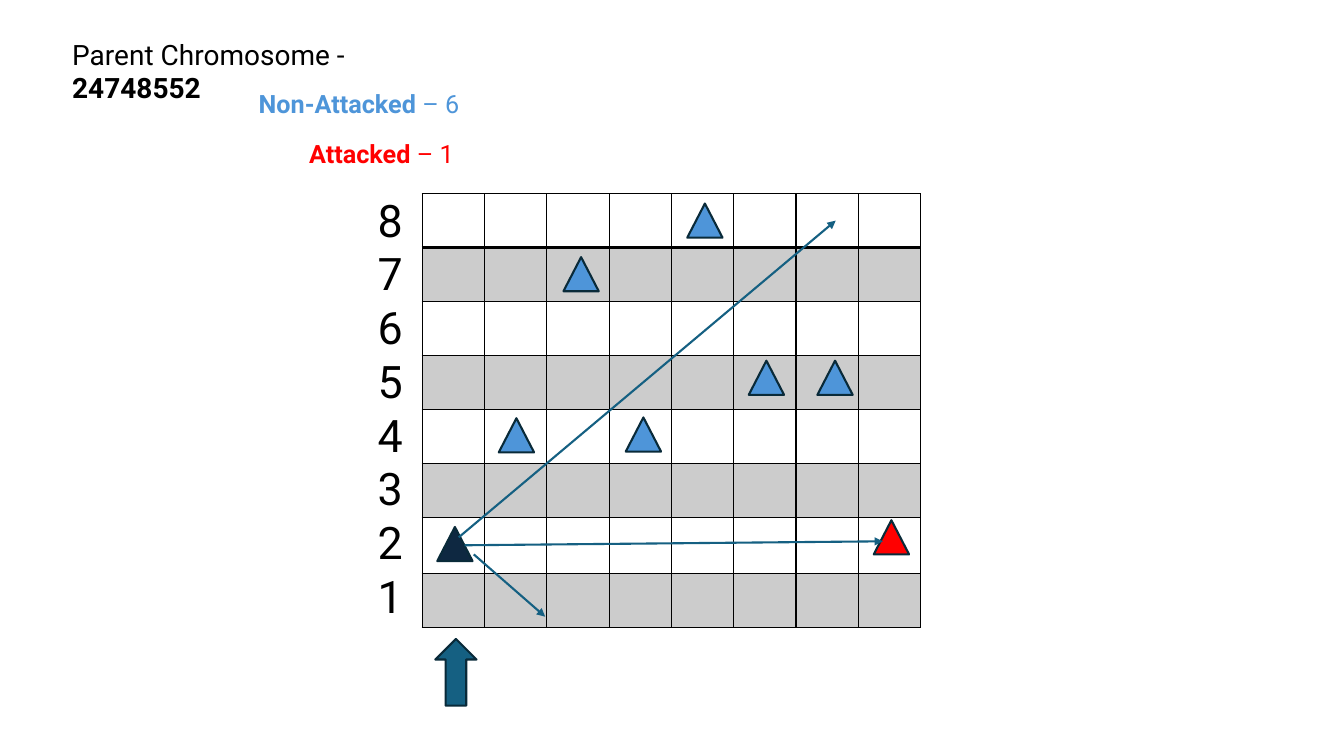
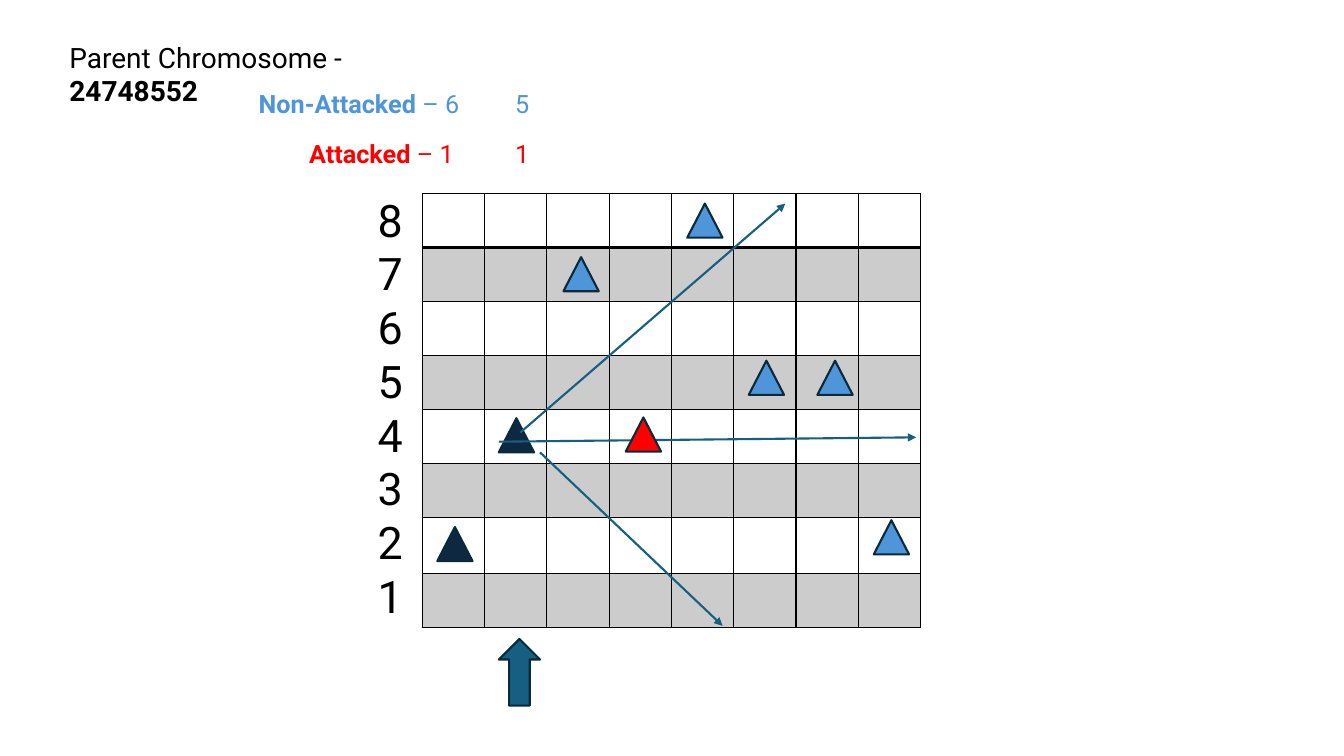
"""Build two slides that count attacked queens for a parent chromosome."""
from dataclasses import dataclass
from typing import NamedTuple

from lxml.etree import SubElement
from pptx import Presentation
from pptx.dml.color import RGBColor
from pptx.enum.shapes import MSO_CONNECTOR as Link, MSO_SHAPE as Preset
from pptx.enum.text import MSO_AUTO_SIZE as AutoSize
from pptx.oxml.ns import qn
from pptx.slide import Slide
from pptx.util import Cm, Pt


@dataclass(frozen=True)
class Theme:
    font: str = "Roboto"
    ink: str = "000000"
    outline: str = "092A39"
    accent: str = "156082"
    checked: str = "0E2841"
    safe: str = "4E95D9"
    attacked: str = "FF0000"
    shade_percent: int = 20
    title_size: int = 20
    tally_size: int = 18
    rank_size: int = 32
    stroke: float = 1.5
    grid: float = 1
    heavy_grid: float = 2


class Box(NamedTuple):
    left: float
    top: float
    width: float
    height: float

    def lengths(self) -> list[Cm]:
        return [Cm(value) for value in self]


class Words(NamedTuple):
    text: str
    bold: bool = False


class Point(NamedTuple):
    x: float
    y: float


class Ray(NamedTuple):
    start: Point
    end: Point


class Tally(NamedTuple):
    label: str
    left: float
    top: float
    color: str


@dataclass(frozen=True)
class Step:
    title: Point
    column: int
    attacked_column: int
    attacked_in_front: bool
    pointer_left: float
    rays: tuple[Ray, ...]
    safe_counts: tuple[str, ...]
    attacked_counts: tuple[str, ...]


THEME = Theme()
CHROMOSOME = "24748552"
BOARD_SIZE = 8
CELL_WIDTH = 1.57
ROW_HEIGHTS = [1.36] * 6 + [1.41, 1.36]
BOARD = Box(10.64, 4.88, CELL_WIDTH * BOARD_SIZE, sum(ROW_HEIGHTS))
QUEENS = (
    Point(11.02, 13.28), Point(12.57, 10.54), Point(14.2, 6.48), Point(15.77, 10.52),
    Point(17.32, 5.13), Point(18.87, 9.09), Point(20.6, 9.09), Point(22.02, 13.11),
)
TALLY_RIGHT = 20.19
COUNT_STOP = 12.98
SAFE_TALLY = Tally("Non-Attacked", 6.27, 2.11, THEME.safe)
ATTACKED_TALLY = Tally("Attacked", 7.54, 3.35, THEME.attacked)
STEPS = (
    Step(
        Point(1.57, 0.81), 0, 7, False, 10.97,
        (
            Ray(Point(11.71, 13.74), Point(22.25, 13.64)),
            Ray(Point(11.56, 13.54), Point(21.06, 5.56)),
            Ray(Point(11.94, 13.97), Point(13.74, 15.54)),
        ),
        ("6",), ("1",),
    ),
    Step(
        Point(1.5, 0.89), 1, 3, True, 12.57,
        (
            Ray(Point(12.57, 11.13), Point(23.09, 11.02)),
            Ray(Point(13.11, 10.9), Point(19.79, 5.13)),
            Ray(Point(13.61, 11.4), Point(18.21, 15.77)),
        ),
        ("6", "5"), ("1", "1"),
    ),
)


def add_words(slide: Slide, box: Box, paragraphs: list[list[Words]], size: int,
              color: str, wrap: bool = True, stop: float | None = None) -> None:
    """Write paragraphs run by run, with an optional tab stop."""
    frame = slide.shapes.add_textbox(*box.lengths()).text_frame
    frame.word_wrap = wrap
    frame.auto_size = AutoSize.SHAPE_TO_FIT_TEXT
    for index, runs in enumerate(paragraphs):
        paragraph = frame.add_paragraph() if index else frame.paragraphs[0]
        for words in runs:
            run = paragraph.add_run()
            run.text = words.text
            run.font.name = THEME.font
            run.font.size = Pt(size)
            run.font.bold = words.bold
            run.font.color.rgb = RGBColor.from_string(color)
        if stop is not None:
            stops = SubElement(paragraph._p.get_or_add_pPr(), qn("a:tabLst"))
            SubElement(stops, qn("a:tab"), pos=str(Cm(stop)), algn="l")


def add_figure(slide: Slide, preset: Preset, box: Box, color: str) -> None:
    """Draw an outlined preset shape."""
    figure = slide.shapes.add_shape(preset, *box.lengths())
    figure.shadow.inherit = False
    figure.fill.solid()
    figure.fill.fore_color.rgb = RGBColor.from_string(color)
    figure.line.color.rgb = RGBColor.from_string(THEME.outline)
    figure.line.width = Pt(THEME.stroke)


def add_queen(slide: Slide, column: int, step: Step) -> None:
    """Draw the queen of one column in the colour of its state."""
    if column == step.attacked_column:
        color = THEME.attacked
    else:
        color = THEME.checked if column <= step.column else THEME.safe
    add_figure(slide, Preset.ISOSCELES_TRIANGLE, Box(*QUEENS[column], 0.89, 0.86), color)


def add_ray(slide: Slide, ray: Ray) -> None:
    """Draw one line of attack with an arrowhead."""
    arrow = slide.shapes.add_connector(
        Link.STRAIGHT, *(Cm(value) for point in ray for value in point))
    arrow.line.color.rgb = RGBColor.from_string(THEME.accent)
    arrow.line.width = Pt(THEME.stroke)
    SubElement(arrow.line._get_or_add_ln(), qn("a:tailEnd"), type="triangle")
    SubElement(arrow._element.spPr, qn("a:effectLst"))


def add_board(slide: Slide) -> None:
    """Draw the board with every second row shaded."""
    board = slide.shapes.add_table(BOARD_SIZE, BOARD_SIZE, *BOARD.lengths()).table
    board.first_row = board.horz_banding = False
    for column in board.columns:
        column.width = Cm(CELL_WIDTH)
    for index, (row, height) in enumerate(zip(board.rows, ROW_HEIGHTS)):
        row.height = Cm(height)
        for cell in row.cells:
            properties = cell._tc.get_or_add_tcPr()
            for side in ("lnL", "lnR", "lnT", "lnB"):
                heavy = index == 0 and side == "lnB"
                weight = THEME.heavy_grid if heavy else THEME.grid
                border = SubElement(properties, qn(f"a:{side}"), w=str(Pt(weight)))
                paint = SubElement(border, qn("a:solidFill"))
                SubElement(paint, qn("a:srgbClr"), val=THEME.ink)
            if index % 2:
                cell.fill.solid()
                cell.fill.fore_color.rgb = RGBColor.from_string(THEME.ink)
                shade = properties.find(qn("a:solidFill")).find(qn("a:srgbClr"))
                SubElement(shade, qn("a:alpha"), val=str(THEME.shade_percent * 1000))
            else:
                cell.fill.background()


def add_tally(slide: Slide, tally: Tally, counts: tuple[str, ...]) -> None:
    """Write a label and its counts, one for each step so far."""
    box = Box(tally.left, tally.top, TALLY_RIGHT - tally.left, 1.03)
    runs = [Words(tally.label, True), Words(" – " + "\t".join(counts))]
    stop = COUNT_STOP - tally.left - 0.25 if len(counts) > 1 else None
    add_words(slide, box, [runs], THEME.tally_size, tally.color, stop=stop)


def add_step(slide: Slide, step: Step) -> None:
    """Draw one complete step of the count."""
    heading = [Words("Parent Chromosome - "), Words(CHROMOSOME, True)]
    add_words(slide, Box(*step.title, 10.2, 1.11), [heading], THEME.title_size, THEME.ink)
    add_board(slide)
    ranks = [[Words(str(rank))] for rank in range(BOARD_SIZE, 0, -1)]
    add_words(slide, Box(9.27, 4.72, 1.12, 11.2), ranks, THEME.rank_size, THEME.ink, wrap=False)
    raised = [step.attacked_column] if step.attacked_in_front else []
    for column in range(BOARD_SIZE):
        if column not in raised:
            add_queen(slide, column, step)
    add_figure(slide, Preset.UP_ARROW, Box(step.pointer_left, 16.1, 1.04, 1.68), THEME.accent)
    for ray in step.rays:
        add_ray(slide, ray)
    add_tally(slide, ATTACKED_TALLY, step.attacked_counts)
    add_tally(slide, SAFE_TALLY, step.safe_counts)
    for column in raised:
        add_queen(slide, column, step)


def main() -> None:
    """Save the presentation."""
    deck = Presentation()
    deck.slide_width, deck.slide_height = Cm(33.87), Cm(19.05)
    for step in STEPS:
        add_step(deck.slides.add_slide(deck.slide_layouts[6]), step)
    deck.save("out.pptx")


if __name__ == "__main__":
    main()
